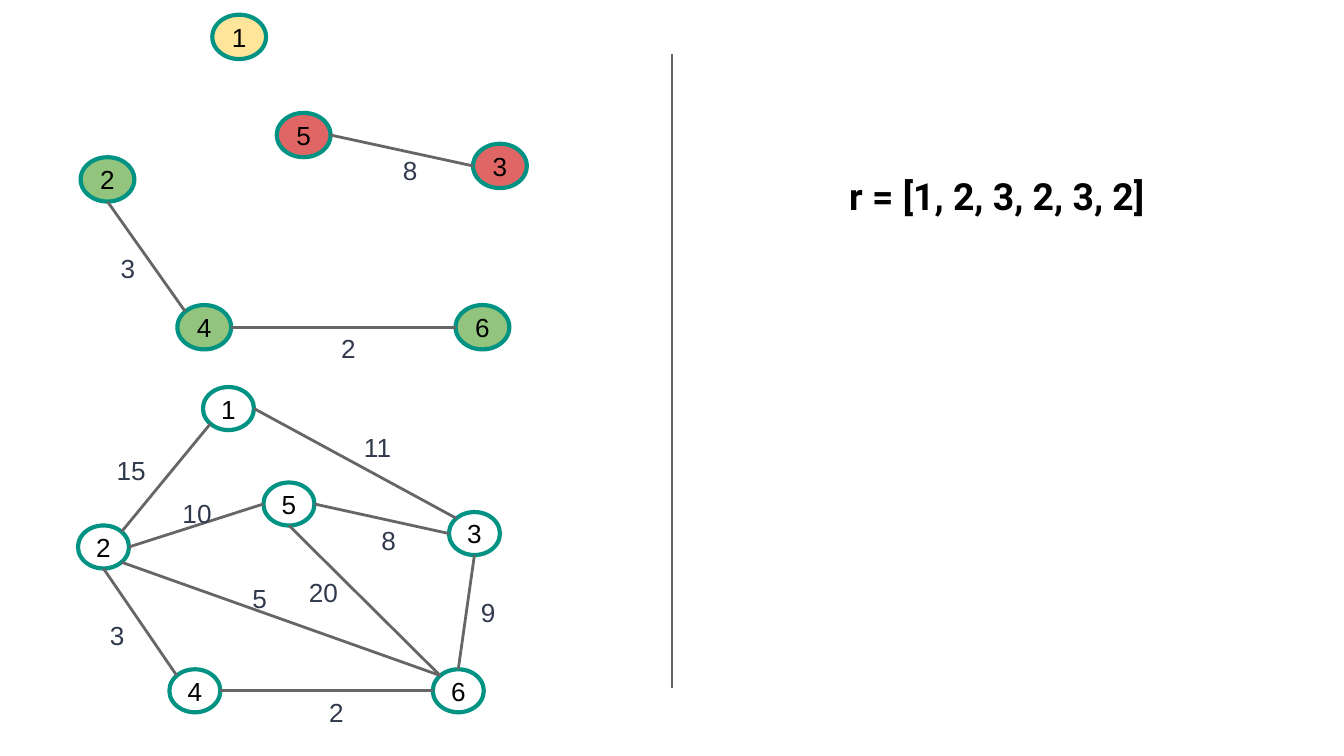
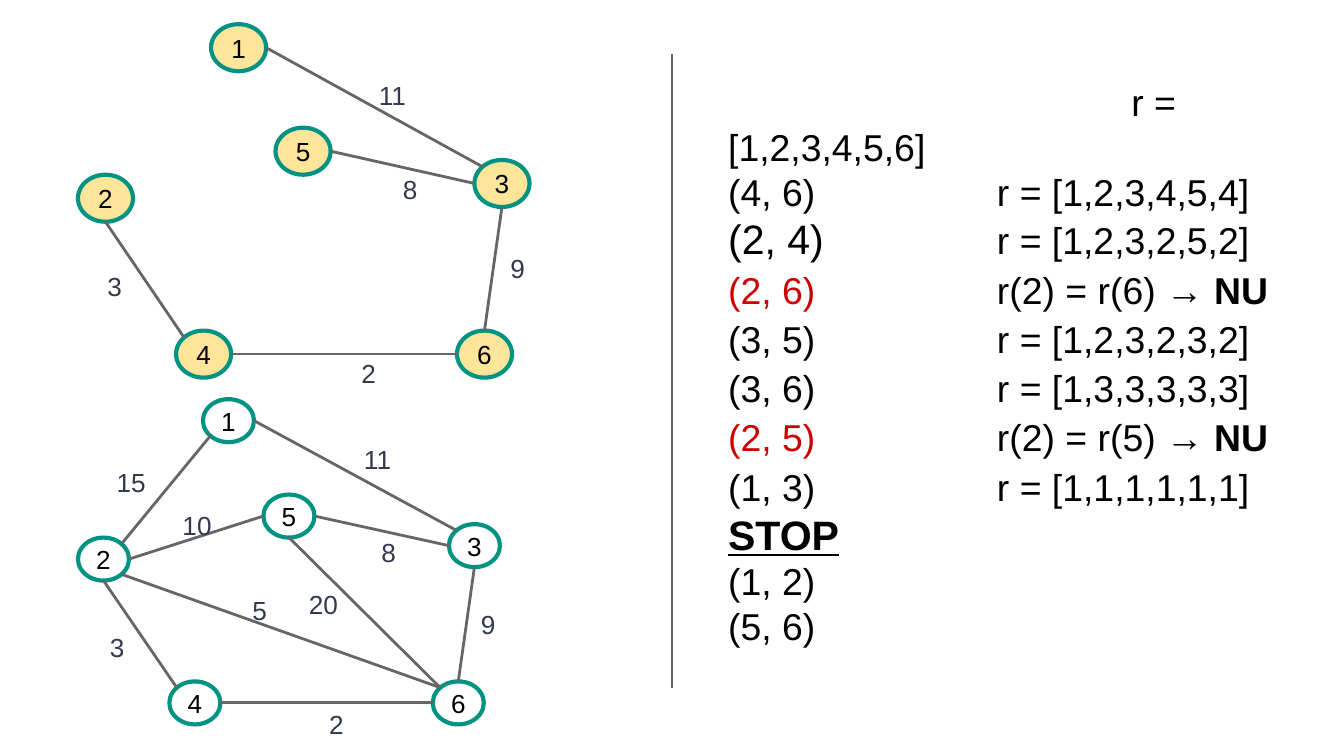
from lxml import etree
from pptx import Presentation
from pptx.dml.color import RGBColor
from pptx.enum.shapes import MSO_CONNECTOR, MSO_SHAPE
from pptx.enum.text import MSO_ANCHOR, MSO_AUTO_SIZE, PP_ALIGN
from pptx.oxml.ns import qn
from pptx.util import Inches, Pt

OVAL = MSO_SHAPE.OVAL
LINE = MSO_CONNECTOR.STRAIGHT
MID = MSO_ANCHOR.MIDDLE
CENTER = PP_ALIGN.CENTER
GROW = MSO_AUTO_SIZE.SHAPE_TO_FIT_TEXT

BLACK = RGBColor(0x00, 0x00, 0x00)
TEAL = RGBColor(0x00, 0x93, 0x84)
GRAY = RGBColor(0x66, 0x66, 0x66)
NAVY = RGBColor(0x31, 0x39, 0x4D)
CREAM = RGBColor(0xFF, 0xE5, 0x99)
GREEN = RGBColor(0x93, 0xC4, 0x7D)
ROSE = RGBColor(0xE0, 0x66, 0x66)
RED = RGBColor(0xCC, 0x00, 0x00)

SIDES = {
    "top": (0, -1), "left": (-1, 0), "bottom": (0, 1), "right": (1, 0),
    "nw": (-0.71, -0.71), "ne": (0.71, -0.71),
    "sw": (-0.71, 0.71), "se": (0.71, 0.71),
}


def write(para, text, color=BLACK, **fmt):
    run = para.add_run()
    run.text = text
    run.font.color.rgb = color
    for key, val in ({"name": "Arial", "size": Pt(14)} | fmt).items():
        setattr(run.font, key, val)


def link(shapes, start, end):
    line = shapes.add_connector(LINE, *[Inches(v) for v in (*start, *end)])
    line.line.color.rgb = GRAY
    line.line.width = Pt(1.5)
    etree.SubElement(line._element.spPr, qn("a:effectLst"))


full = {
    "size": (0.38, 0.32), "tag": 0.46,
    "nodes": {
        "1": (1.51, 2.88, None), "2": (0.58, 3.91, None),
        "5": (1.96, 3.59, None), "6": (3.22, 4.98, None),
        "4": (1.26, 4.98, None), "3": (3.34, 3.81, None),
    },
    "edges": [
        ("1", "sw", "2", "ne", "15", 0.77, 3.28),
        ("1", "right", "3", "nw", "11", 2.61, 3.11),
        ("2", "right", "5", "left", "10", 1.26, 3.6),
        ("5", "right", "3", "left", "8", 2.74, 3.8),
        ("2", "bottom", "4", "nw", "3", 0.72, 4.51),
        ("2", "se", "6", "nw", "5", 1.78, 4.23),
        ("4", "right", "6", "left", "2", 2.35, 5.08),
        ("5", "bottom", "6", "nw", "20", 2.2, 4.19),
        ("3", "bottom", "6", "top", "9", 3.48, 4.34),
    ],
}
forest = {
    "size": (0.4, 0.33), "tag": 0.48,
    "nodes": {
        "1": (1.58, 0.11, CREAM), "2": (0.6, 1.17, GREEN),
        "5": (2.06, 0.84, ROSE), "6": (3.39, 2.27, GREEN),
        "4": (1.32, 2.27, GREEN), "3": (3.52, 1.07, ROSE),
    },
    "edges": [
        ("4", "right", "6", "left", "2", 2.44, 2.37),
        ("2", "bottom", "4", "nw", "3", 0.8, 1.78),
        ("5", "right", "3", "left", "8", 2.9, 1.05),
    ],
}
tree = {
    "size": (0.41, 0.35), "tag": 0.46,
    "nodes": {
        "1": (1.57, 0.18, CREAM), "2": (0.58, 1.3, CREAM),
        "5": (2.05, 0.95, CREAM), "6": (3.4, 2.46, CREAM),
        "4": (1.31, 2.46, CREAM), "3": (3.53, 1.19, CREAM),
    },
    "edges": [
        ("4", "right", "6", "left", "2", 2.59, 2.56),
        ("2", "bottom", "4", "nw", "3", 0.7, 1.91),
        ("5", "right", "3", "left", "8", 2.9, 1.19),
        ("3", "bottom", "6", "top", "9", 3.7, 1.78),
        ("1", "right", "3", "nw", "11", 2.72, 0.49),
    ],
}
ROOTS = (6.22, 1.19, 2.98, 0.54)
STEPS = (5.32, 0.49, 4.27, 4.59)

big = {"size": Pt(20)}
huge = {"size": Pt(22)}
bold = big | {"bold": True}
bad = big | {"color": RED}
tab = ("\t\t", huge | {"bold": True})
roots = [[("r = [1, 2, 3, 2, 3, 2]", bold | {"name": "Roboto"})]]
steps = [
    [("\t\t\tr = [1,2,3,4,5,6]", big)],
    [("(4, 6)\t\tr = [1,2,3,4,5,4]", big)],
    [("(2, 4)", huge), ("\t\t", bold), ("r = [1,2,3,2,5,2]", big)],
    [("(2, 6)", bad), tab, ("r(2) = r(6) → ", big), ("NU", bold)],
    [("(3, 5)", big), tab, ("r = [1,2,3,2,3,2]", big)],
    [("(3, 6)", big), tab, ("r = [1,3,3,3,3,3]", big)],
    [("(2, 5)", bad), tab, ("r(2) = r(5) → ", big), ("NU", bold)],
    [("(1, 3)", big), tab, ("r = [1,1,1,1,1,1]", big)],
    [("STOP", huge | {"bold": True, "underline": True})],
    [("(1, 2)", big)],
    [("(5, 6)", big)],
]

deck = Presentation()
deck.slide_width = Inches(10)
deck.slide_height = deck.slide_width * 9 // 16

for top, drop, place, rows in (
    (forest, 0, ROOTS, roots),
    (tree, 0.09, STEPS, steps),
):
    slide = deck.slides.add_slide(deck.slide_layouts[6])
    link(slide.shapes, (5, 0.4), (5, 5.12))

    for graph, shift in ((full, drop), (top, 0)):
        group = slide.shapes.add_group_shape().shapes
        wide, high = graph["size"]
        for name, (x, y, fill) in graph["nodes"].items():
            node = group.add_shape(
                OVAL, Inches(x), Inches(y + shift), Inches(wide), Inches(high))
            node.shadow.inherit = False
            if fill is None:
                node.fill.background()
            else:
                node.fill.solid()
                node.fill.fore_color.rgb = fill
            node.line.color.rgb = TEAL
            node.line.width = Pt(2.25)
            frame = node.text_frame
            for side in ("left", "top", "right", "bottom"):
                setattr(frame, "margin_" + side, Inches(0.02))
            frame.vertical_anchor = MID
            frame.paragraphs[0].alignment = CENTER
            write(frame.paragraphs[0], name)

        for a, out, b, into, cost, x, y in graph["edges"]:
            ends = []
            for name, side in ((a, out), (b, into)):
                left, head, _ = graph["nodes"][name]
                dx, dy = SIDES[side]
                ends.append((left + wide / 2 * (1 + dx),
                             head + shift + high / 2 * (1 + dy)))
            link(group, *ends)
            box = group.add_textbox(
                Inches(x), Inches(y + shift), Inches(graph["tag"]), Inches(0.44))
            frame = box.text_frame
            frame.word_wrap = True
            frame.auto_size = GROW
            frame.margin_top = frame.margin_bottom = Inches(0.1)
            write(frame.paragraphs[0], cost, NAVY)

    box = slide.shapes.add_textbox(*[Inches(v) for v in place])
    frame = box.text_frame
    frame.word_wrap = True
    frame.margin_top = frame.margin_bottom = Inches(0.1)
    for i, row in enumerate(rows):
        para = frame.add_paragraph() if i else frame.paragraphs[0]
        if rows is steps:
            para.line_spacing = 1.0
            tabs = etree.SubElement(para._p.get_or_add_pPr(), qn("a:tabLst"))
            for stop in (1, 2, 3):
                etree.SubElement(
                    tabs, qn("a:tab"), pos=str(Inches(stop)), algn="l")
        for text, fmt in row:
            write(para, text, **fmt)

deck.save("out.pptx")
